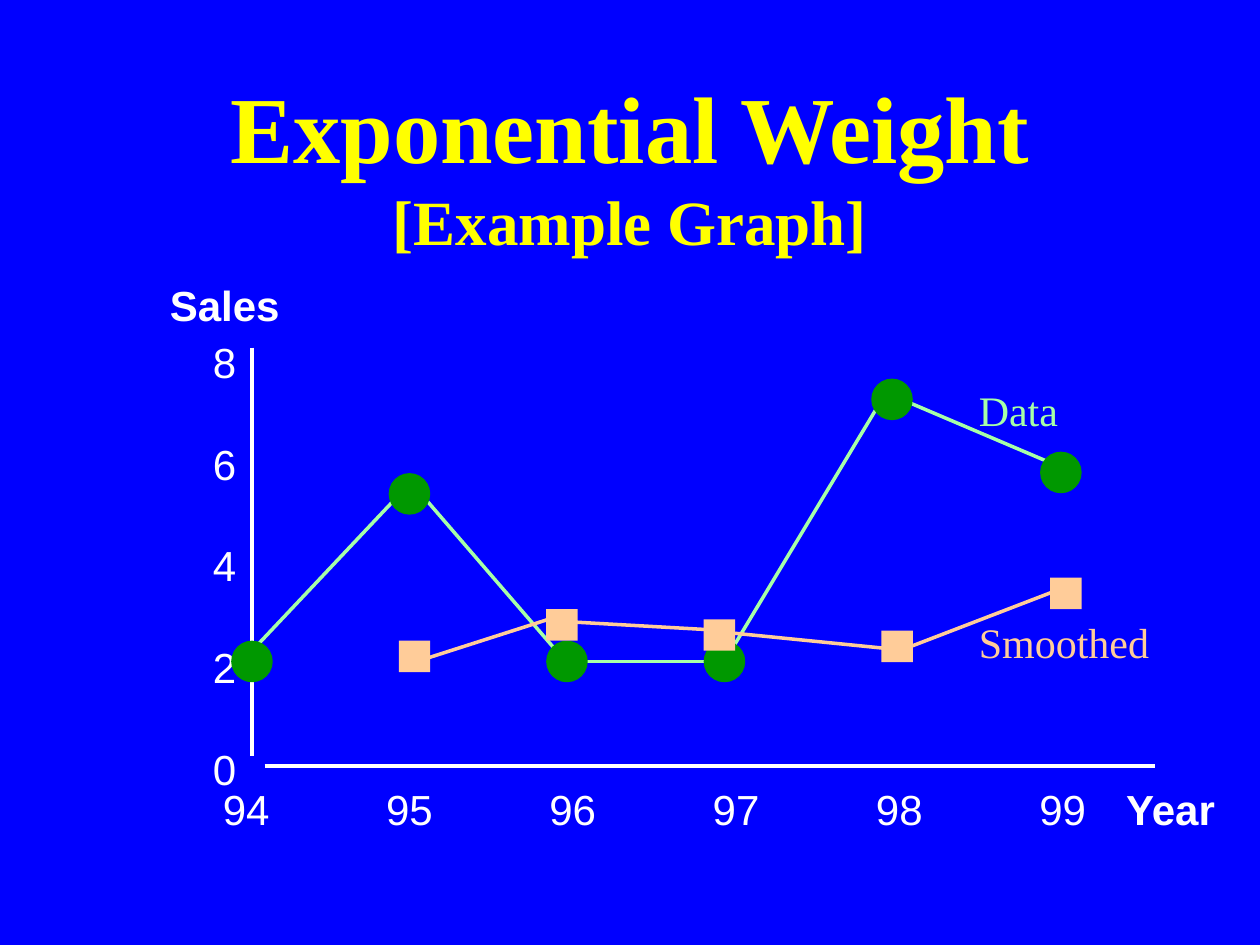
from lxml import etree
from pptx import Presentation
from pptx.dml.color import RGBColor
from pptx.enum.shapes import MSO_CONNECTOR, MSO_SHAPE
from pptx.enum.text import MSO_ANCHOR, MSO_AUTO_SIZE, PP_ALIGN
from pptx.oxml.ns import qn
from pptx.util import Inches, Pt

COLORS = {
    "background": "0000FF", "title": "FFFF00", "axis": "FFFFFF",
    "data_line": "A7FFA7", "data_marker": "009800", "smoothed": "FFCC99",
}
SERIF, SANS = "Times New Roman", "Arial"

# All positions below are inches from the top left corner of the plot.
AXES = [((0, 0.01), (0, 3.25)), ((0.1, 3.33), (7.17, 3.33))]
YEARS = ["94", "95", "96", "97", "98", "99"]
YEAR_SPAN = 6.48
SALES_TICKS = ["8", "6", "4", "2", "0"]
SERIES = [
    {
        "name": "Data", "label_box": (5.67, 0.25, 1.5, 0.5),
        "line": "data_line", "marker": "data_marker",
        "shape": MSO_SHAPE.OVAL, "size": 0.33,
        "segments": [
            ((-0.08, 2.5), (1.25, 1.09)), ((1.35, 1.18), (2.42, 2.42)),
            ((2.6, 2.5), (3.67, 2.5)), ((3.75, 2.5), (5, 0.42)),
            ((5.18, 0.43), (6.33, 0.92)),
        ],
        "centres": [(0, 2.5), (1.25, 1.17), (2.5, 2.5),
                    (3.75, 2.5), (5.08, 0.42), (6.42, 1)],
    },
    {
        "name": "Smoothed", "label_box": (5.67, 2.09, 1.91, 0.5),
        "line": "smoothed", "marker": "smoothed",
        "shape": MSO_SHAPE.RECTANGLE, "size": 0.25,
        "segments": [
            ((1.34, 2.49), (2.4, 2.15)), ((2.43, 2.18), (3.67, 2.25)),
            ((3.77, 2.27), (5.07, 2.4)), ((5.1, 2.43), (6.48, 1.9)),
        ],
        "centres": [(1.29, 2.46), (2.46, 2.21), (3.71, 2.29),
                    (5.12, 2.38), (6.46, 1.96)],
    },
]


def rgb(name):
    return RGBColor.from_string(COLORS[name])


def add_run(paragraph, text, color, **font_format):
    run = paragraph.add_run()
    run.text = text
    run.font.color.rgb = rgb(color)
    for attribute, value in font_format.items():
        setattr(run.font, attribute, value)


def add_label(slide, origin, box, lines, color="axis", font=SANS, bold=False, spacing=None):
    left, top, width, height = box
    label = slide.shapes.add_textbox(
        Inches(origin[0] + left), Inches(origin[1] + top), Inches(width), Inches(height))
    frame = label.text_frame
    frame.word_wrap = True
    frame.auto_size = MSO_AUTO_SIZE.SHAPE_TO_FIT_TEXT
    for index, line in enumerate(lines):
        paragraph = frame.add_paragraph() if index else frame.paragraphs[0]
        paragraph.space_before = Pt(15)
        paragraph.line_spacing = spacing
        add_run(paragraph, line, color, name=font, size=Pt(24), bold=bold)
    return label


def set_even_tabs(paragraph, count, span):
    """Spread tab stops evenly over a span given in inches."""
    tab_list = etree.SubElement(paragraph._p.get_or_add_pPr(), qn("a:tabLst"))
    for index in range(1, count + 1):
        position = Inches(span * index / count)
        etree.SubElement(tab_list, qn("a:tab"), pos=str(position), algn="l")


def add_line(slide, origin, start, end, color):
    left, top = origin
    line = slide.shapes.add_connector(
        MSO_CONNECTOR.STRAIGHT,
        Inches(left + start[0]), Inches(top + start[1]),
        Inches(left + end[0]), Inches(top + end[1]))
    line.line.color.rgb = rgb(color)
    line.line.width = Pt(2)
    etree.SubElement(line._element.spPr, qn("a:effectLst"))


def add_marker(slide, origin, centre, series):
    size = series["size"]
    marker = slide.shapes.add_shape(
        series["shape"],
        Inches(origin[0] + centre[0] - size / 2), Inches(origin[1] + centre[1] - size / 2),
        Inches(size), Inches(size))
    marker.shadow.inherit = False
    marker.fill.solid()
    marker.fill.fore_color.rgb = rgb(series["marker"])
    marker.line.fill.background()


def add_title(slide, left, top, width, height):
    title = slide.shapes.add_textbox(Inches(left), Inches(top), Inches(width), Inches(height))
    frame = title.text_frame
    frame.word_wrap = True
    frame.vertical_anchor = MSO_ANCHOR.MIDDLE
    heading = frame.paragraphs[0]
    heading.alignment = PP_ALIGN.CENTER
    for text, size in (("Exponential Weight ", 54), ("[Example Graph]", 36)):
        add_run(heading, text, "title", name=SERIF, size=Pt(size), bold=True)


def add_axes(slide, origin):
    for start, end in AXES:
        add_line(slide, origin, start, end, "axis")
    years = add_label(slide, origin, (-0.33, 3.42, 7.83, 0.5), ["\t".join(YEARS)])
    set_even_tabs(years.text_frame.paragraphs[0], len(YEARS) - 1, YEAR_SPAN)
    add_label(slide, origin, (-0.41, -0.33, 0.58, 3.93), SALES_TICKS, spacing=1.5)
    add_label(slide, origin, (-0.75, -0.58, 1.41, 0.5), ["Sales"], bold=True)
    add_label(slide, origin, (6.84, 3.42, 1.1, 0.5), ["Year"], bold=True)


def add_series(slide, origin):
    """Draw all lines first, so that the markers and names lie above them."""
    for series in SERIES:
        for start, end in series["segments"]:
            add_line(slide, origin, start, end, series["line"])
    for series in SERIES:
        for centre in series["centres"]:
            add_marker(slide, origin, centre, series)
    for series in SERIES:
        add_label(slide, origin, series["label_box"], [series["name"]], series["line"], SERIF)


def main():
    deck = Presentation()
    deck.slide_width, deck.slide_height = Inches(10), Inches(7.5)
    slide = deck.slides.add_slide(deck.slide_layouts[6])
    slide.background.fill.solid()
    slide.background.fill.fore_color.rgb = rgb("background")
    add_title(slide, 0.75, 0.67, 8.5, 1.25)
    plot_origin = (2, 2.75)
    add_axes(slide, plot_origin)
    add_series(slide, plot_origin)
    deck.save("out.pptx")


if __name__ == "__main__":
    main()
